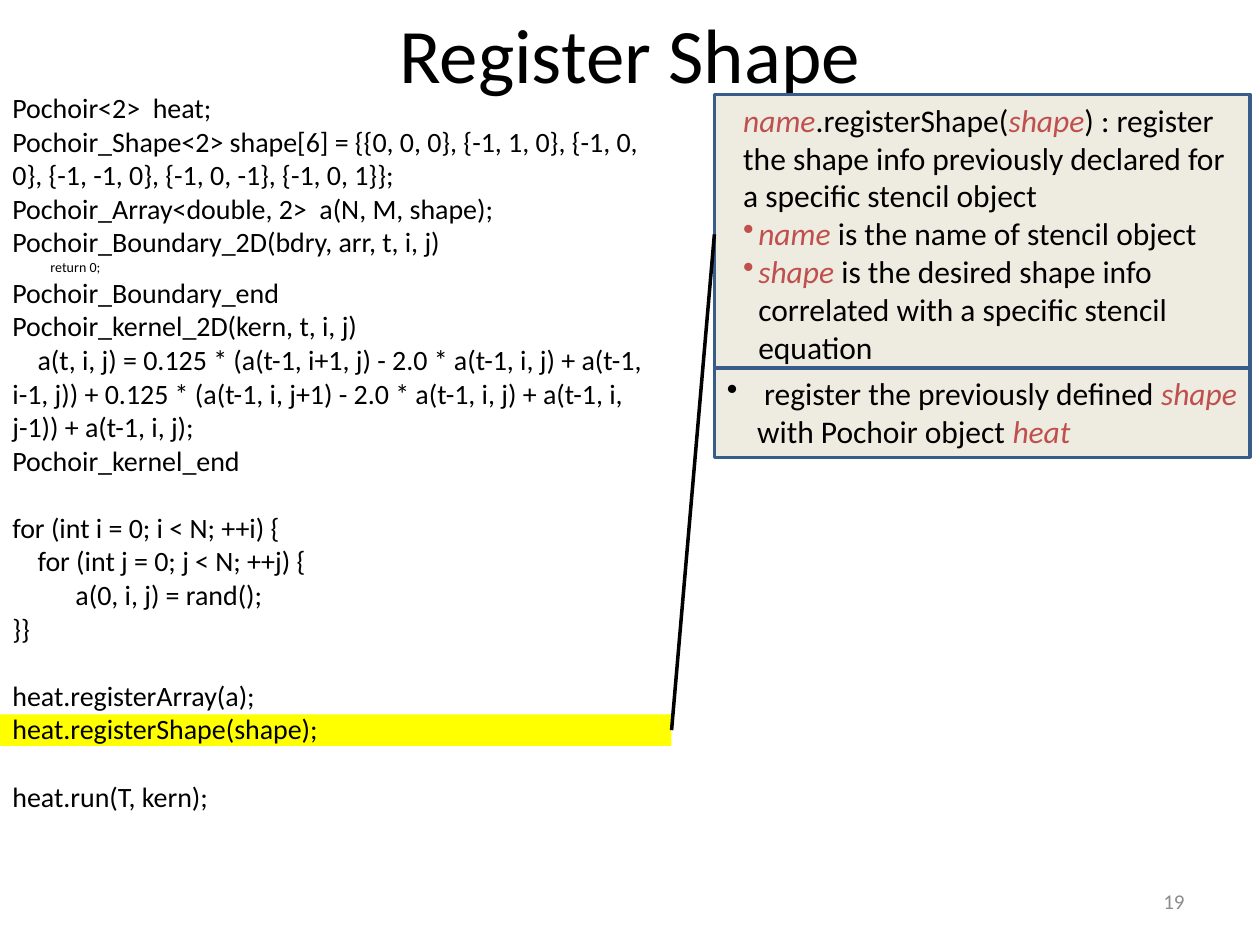
import pptx
import pptx.dml.color
import pptx.enum.shapes
import pptx.enum.text
import pptx.oxml
import pptx.oxml.ns
import pptx.util

RGBColor = pptx.dml.color.RGBColor
Inches, Pt = pptx.util.Inches, pptx.util.Pt
ALIGN, ANCHOR = pptx.enum.text.PP_ALIGN, pptx.enum.text.MSO_ANCHOR

BLACK = RGBColor(0x00, 0x00, 0x00)
GRAY = RGBColor(0x8C, 0x8C, 0x8C)
RED = RGBColor(0xC0, 0x50, 0x4D)
YELLOW = RGBColor(0xFF, 0xFF, 0x00)
CREAM = RGBColor(0xEE, 0xEC, 0xE1)
BLUE = RGBColor(0x38, 0x5D, 0x8A)
FONT = "Calibri"
CODE_SIZE, SMALL_SIZE, NOTE_SIZE = 16, 8, 18
CODE_LINE = 19.2  # height of one code line in points

# Content: code blocks are set apart by one line of space
TITLE = "Register Shape"
PAGE_NUMBER = "19"
SMALL_LINE = "            return 0;"
CODE_BLOCKS = [
    ["Pochoir<2>  heat;",
     "Pochoir_Shape<2> shape[6] = {{0, 0, 0}, {-1, 1, 0}, {-1, 0, 0}, "
     "{-1, -1, 0}, {-1, 0, -1}, {-1, 0, 1}};",
     "Pochoir_Array<double, 2>  a(N, M, shape);",
     "Pochoir_Boundary_2D(bdry, arr, t, i, j)",
     SMALL_LINE,
     "Pochoir_Boundary_end",
     "Pochoir_kernel_2D(kern, t, i, j)",
     "    a(t, i, j) = 0.125 * (a(t-1, i+1, j) - 2.0 * a(t-1, i, j) + "
     "a(t-1, i-1, j)) + 0.125 * (a(t-1, i, j+1) - 2.0 * a(t-1, i, j) + "
     "a(t-1, i, j-1)) + a(t-1, i, j);",
     "Pochoir_kernel_end"],
    ["for (int i = 0; i < N; ++i) {",
     "    for (int j = 0; j < N; ++j) {",
     "          a(0, i, j) = rand();",
     "}}"],
    ["heat.registerArray(a);",
     "heat.registerShape(shape);"],
    ["heat.run(T, kern);"],
]
# Note lines: (bulleted, spans); spans between asterisks are terms
SYNTAX = [
    (False, ["*name*", ".registerShape(", "*shape*", ") : register"]),
    (False, ["the shape info previously declared for"]),
    (False, ["a specific stencil object"]),
    (True, ["*name*", " is the name of stencil object"]),
    (True, ["*shape*", " is the desired shape info correlated with a "
                       "specific stencil equation"]),
]
EXAMPLE = [(True, [" register the previously defined ", "*shape*",
                   " with Pochoir object ", "*heat*"])]

# Places in inches: left, top, width, height
NOTE_LEFT, NOTE_WIDTH = 5.67, 4.25
TITLE_AREA = (0, 0, 10, 0.83)
CODE_AREA = (0, 0.67, 5.42, 6.02)
HIGHLIGHT_AREA = (0, 5.67, 5.33, 0.25)
SYNTAX_AREA = (NOTE_LEFT, 0.75, NOTE_WIDTH, 2.22)
EXAMPLE_AREA = (NOTE_LEFT, 2.92, NOTE_WIDTH, 0.71)
NUMBER_AREA = (7.17, 6.95, 2.33, 0.4)


def style(font, **values):
    for key, value in {"name": FONT, **values}.items():
        if key == "color":
            font.color.rgb = value
        else:
            setattr(font, key, value)


def add_span(para, text, **values):
    span = para.add_run()
    span.text = text
    style(span.font, **values)


def add_rectangle(page, area, fill, line=None):
    box = page.shapes.add_shape(pptx.enum.shapes.MSO_SHAPE.RECTANGLE,
                                *map(Inches, area))
    box.shadow.inherit = False
    box.fill.solid()
    box.fill.fore_color.rgb = fill
    if line is None:
        box.line.fill.background()
    else:
        box.line.color.rgb = line
        box.line.width = Pt(2)
    return box


def add_text_box(page, area):
    box = page.shapes.add_textbox(*map(Inches, area))
    box.text_frame.word_wrap = True
    return box.text_frame


def next_para(frame, index):
    return frame.add_paragraph() if index else frame.paragraphs[0]


def set_indent(para, margin, indent, bulleted):
    properties = para._p.get_or_add_pPr()
    properties.set("marL", str(Inches(margin)))
    properties.set("indent", str(Inches(indent)))
    tag = 'a:buChar char="•"' if bulleted else "a:buNone"
    properties.append(pptx.oxml.parse_xml(
        f"<{tag} {pptx.oxml.ns.nsdecls('a')}/>"))


def add_note(page, area, lines, margin, indent):
    box = add_rectangle(page, area, CREAM, BLUE)
    frame = box.text_frame
    frame.word_wrap = True
    frame.vertical_anchor = ANCHOR.TOP
    for index, (bulleted, spans) in enumerate(lines):
        para = next_para(frame, index)
        para.alignment = ALIGN.LEFT
        set_indent(para, margin, indent, bulleted)
        for text in spans:
            term = text.startswith("*")
            add_span(para, text.strip("*"), size=Pt(NOTE_SIZE), italic=term,
                     color=RED if term else BLACK)
    return box


def add_code(page):
    frame = add_text_box(page, CODE_AREA)
    index = 0
    for block in CODE_BLOCKS:
        for row, text in enumerate(block):
            para = next_para(frame, index)
            if index and row == 0:
                para.space_before = Pt(CODE_LINE)
            size = SMALL_SIZE if text == SMALL_LINE else CODE_SIZE
            add_span(para, text, size=Pt(size), color=BLACK)
            index += 1


def link(page, start, end):
    """Join the right side of start to the left side of end."""
    line = page.shapes.add_connector(
        pptx.enum.shapes.MSO_CONNECTOR.STRAIGHT,
        start.left + start.width, start.top + start.height // 2,
        end.left, end.top + end.height // 2)
    line.line.color.rgb = BLACK
    line.line.width = Pt(2)
    line._element.spPr.append(pptx.oxml.parse_xml(
        f"<a:effectLst {pptx.oxml.ns.nsdecls('a')}/>"))


def main():
    deck = pptx.Presentation()
    deck.slide_width, deck.slide_height = Inches(10), Inches(7.5)
    page = deck.slides.add_slide(deck.slide_layouts[5])

    # Title
    title = page.shapes.title
    title.left, title.top, title.width, title.height = map(Inches, TITLE_AREA)
    title.text_frame.vertical_anchor = ANCHOR.MIDDLE
    add_span(title.text_frame.paragraphs[0], TITLE, size=Pt(44), color=BLACK)

    # Code with its highlighted line
    highlight = add_rectangle(page, HIGHLIGHT_AREA, YELLOW)
    add_code(page)

    # Notes, linked to the highlighted line
    syntax = add_note(page, SYNTAX_AREA, SYNTAX, 0.25, -0.12)
    link(page, highlight, syntax)
    add_note(page, EXAMPLE_AREA, EXAMPLE, 0.24, -0.24)

    # Page number
    frame = add_text_box(page, NUMBER_AREA)
    frame.vertical_anchor = ANCHOR.MIDDLE
    frame.paragraphs[0].alignment = ALIGN.RIGHT
    add_span(frame.paragraphs[0], PAGE_NUMBER, size=Pt(12), color=GRAY)

    deck.save("out.pptx")


if __name__ == "__main__":
    main()
